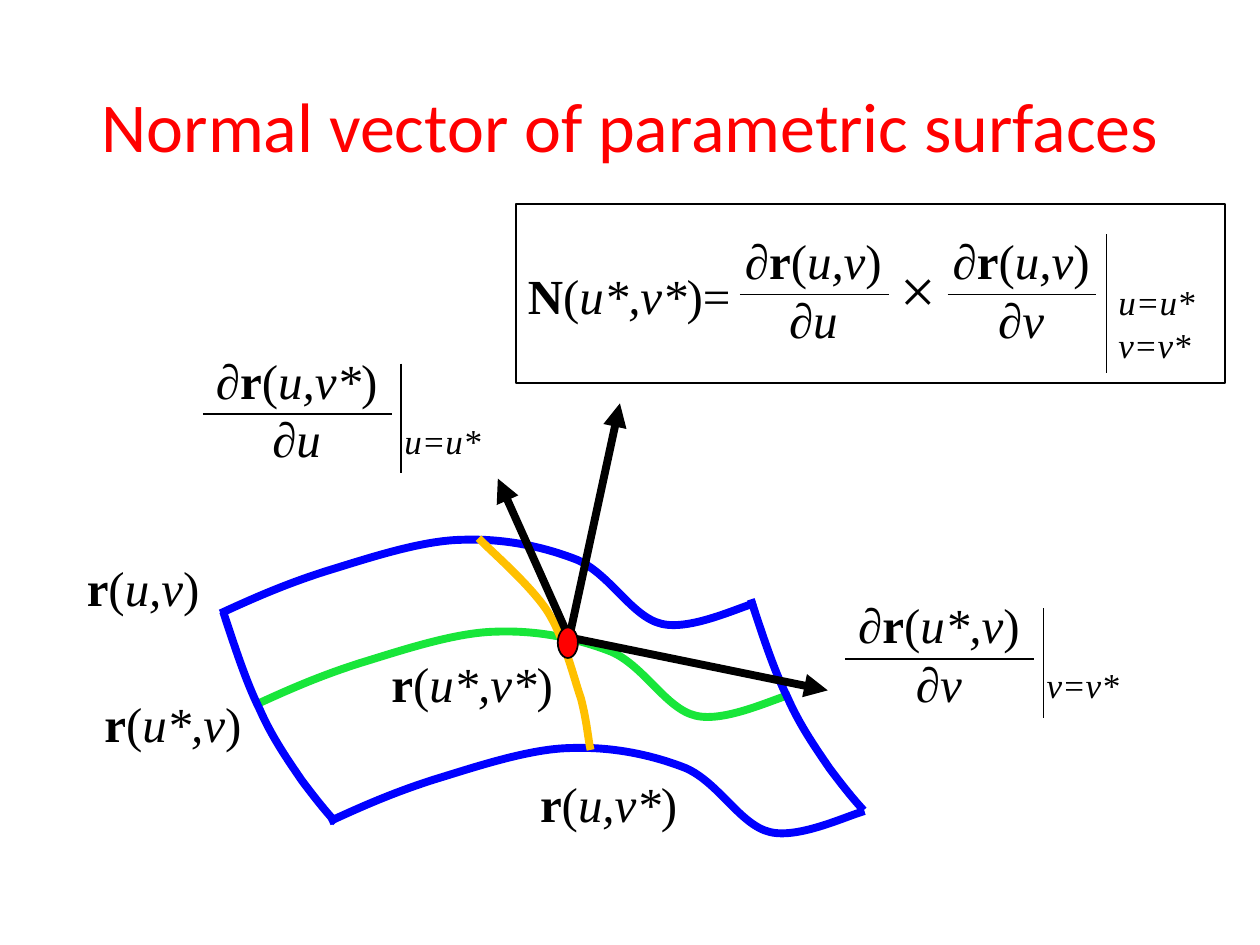
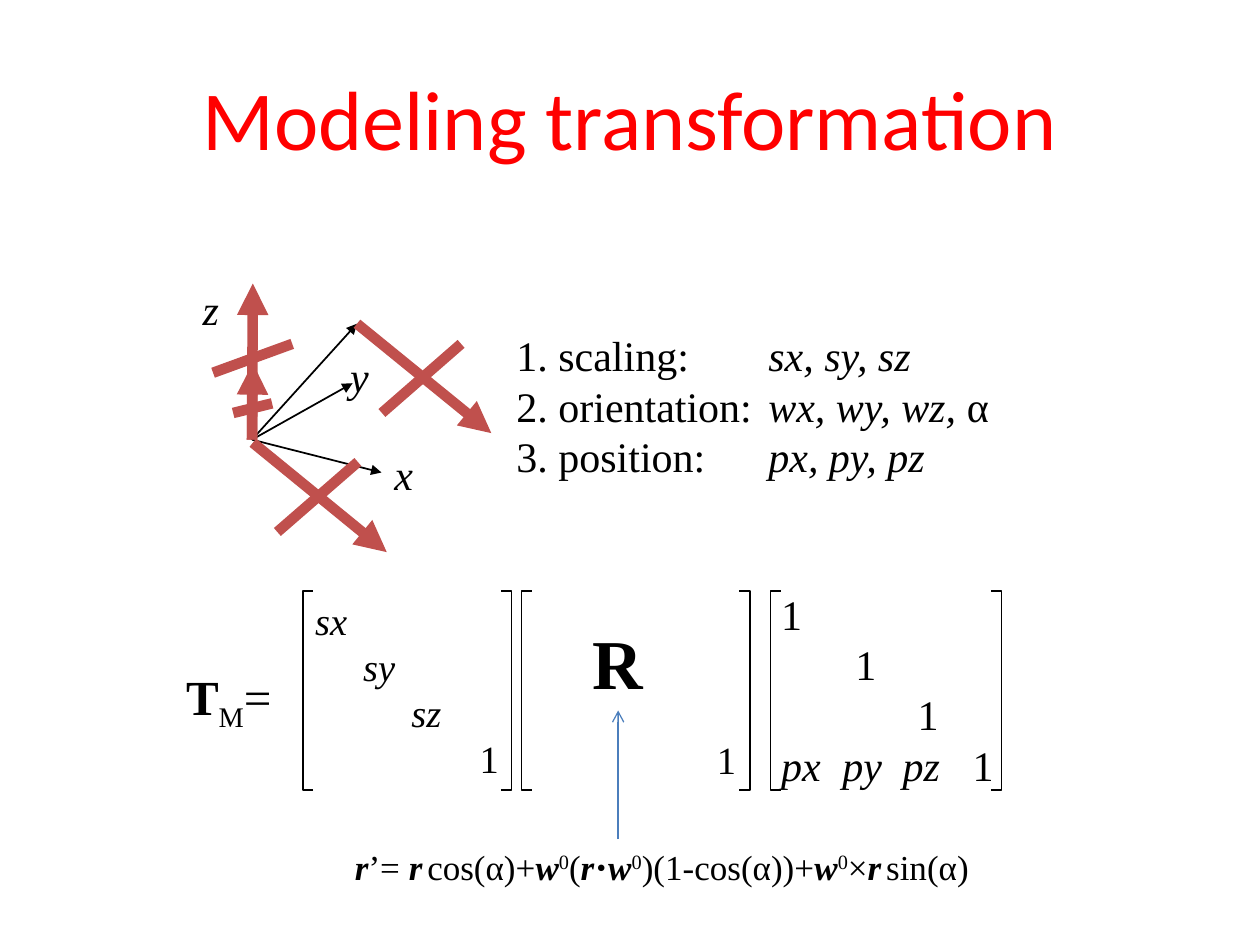
from lxml import etree
from pptx import Presentation
from pptx import util as u
from pptx.dml import color as c
from pptx.enum import shapes, text
from pptx.oxml import ns

Pt = u.Pt
COLORS = {"title": "FF0000", "ink": "000000", "edge": "0000FF", "u_curve": "18E63A",
          "v_curve": "FFC000", "point": "FF0000", "scale": "C0504D", "pointer": "4B7EBC"}
BASELINES = {"^": "30000", "_": "-25000"}
WAVE = [(0, 0), (18.5, -8.5), (36.5, -16.5), (60, -24), (83, -31), (114, -41.5),
        (137.5, -42), (162, -43), (185, -38), (204, -30.5), (223, -22), (235, 2),
        (252, 6), (268.5, 10), (296.5, -3.5), (306, -6)]
SIDE = [(0, 0), (6.5, 19.5), (13, 40), (21, 56), (28, 72), (37.5, 85.5),
        (45, 96.5), (52.5, 106.5), (58.5, 114), (64.5, 120.5)]
CROSSING = [(0, 0), (6.5, 7), (29.5, 26.5), (39.5, 42), (49, 57), (54, 78.5),
            (58.5, 91.5), (62, 105), (62.5, 114.5), (64, 121)]


def rgb(name):
    return c.RGBColor.from_string(COLORS[name])


def sub(parent, tag, **attrs):
    return etree.SubElement(parent, ns.qn(tag), **attrs)


def write(p, runs, size, font="Times New Roman", color="ink", align=None, indent=0, tabs=()):
    if isinstance(runs, str):
        runs = [(runs, "")]
    p.alignment = align
    pPr = p._p.get_or_add_pPr()
    if indent:
        pPr.set("marL", str(Pt(indent)))
    if tabs:
        stops = sub(pPr, "a:tabLst")
        for tab in tabs:
            sub(stops, "a:tab", pos=str(Pt(tab)), algn="l")
    for content, marks in runs:
        r = p.add_run()
        r.text = content
        r.font.name, r.font.size = font, Pt(11 if "s" in marks else size)
        r.font.bold, r.font.italic = "b" in marks, "i" in marks
        r.font.color.rgb = rgb(color)
        for mark in set(marks) & set(BASELINES):
            r._r.get_or_add_rPr().set("baseline", BASELINES[mark])


def call(name, args, tail=")"):
    return [(name, "b"), ("(", ""), (args, "i"), (tail, "")]


class Deck:
    def __init__(self):
        self.prs = Presentation()
        self.prs.slide_width, self.prs.slide_height = Pt(720), Pt(540)

    def slide(self, title, size, x, y, w):
        self.s = self.prs.slides.add_slide(self.prs.slide_layouts[6])
        sp = self.text(x, y, w, 90, [title], size, font="Calibri", color="title",
                       align=text.PP_ALIGN.CENTER, wrap=True, grow=False)
        sp.text_frame.vertical_anchor = text.MSO_ANCHOR.MIDDLE

    def text(self, x, y, w, h, rows, size, wrap=False, grow=True, indents=None, **fmt):
        sp = self.s.shapes.add_textbox(Pt(x), Pt(y), Pt(w), Pt(h))
        tf = sp.text_frame
        tf.word_wrap = wrap
        tf.auto_size = (text.MSO_AUTO_SIZE.SHAPE_TO_FIT_TEXT if grow
                        else text.MSO_AUTO_SIZE.NONE)
        for i, row in enumerate(rows):
            p = tf.add_paragraph() if i else tf.paragraphs[0]
            write(p, row, size, indent=indents[i] if indents else 0, **fmt)
        return sp

    def line(self, start, end, color="ink", width=1, head=None):
        cx = self.s.shapes.add_connector(shapes.MSO_CONNECTOR.STRAIGHT,
                                         *map(Pt, (*start, *end)))
        cx.line.color.rgb, cx.line.width = rgb(color), Pt(width)
        if head:
            sub(cx.line._get_or_add_ln(), "a:tailEnd", type=head)
        sub(cx._element.spPr, "a:effectLst")
        return cx

    def outline(self, sp, color="ink", width=1, fill=None):
        sp.shadow.inherit = False
        if fill:
            sp.fill.solid()
            sp.fill.fore_color.rgb = rgb(fill)
        else:
            sp.fill.background()
        sp.line.color.rgb, sp.line.width = rgb(color), Pt(width)

    def shape(self, kind, x, y, w, h, fill=None):
        self.outline(self.s.shapes.add_shape(kind, Pt(x), Pt(y), Pt(w), Pt(h)), fill=fill)

    def freeform(self, points, color="ink", width=1):
        first, *rest = [(Pt(x), Pt(y)) for x, y in points]
        builder = self.s.shapes.build_freeform(*first)
        builder.add_line_segments(rest, close=False)
        sp = builder.convert_to_shape()
        self.outline(sp, color, width)
        return sp

    def curve(self, controls, x, y, color):
        sp = self.freeform([(x + a, y + b) for a, b in controls], color, 4.5)
        outline = sp._element.find(".//" + ns.qn("a:path"))
        segments = outline.findall(ns.qn("a:lnTo"))
        for i in range(0, len(segments), 3):
            bezier = sub(outline, "a:cubicBezTo")
            for segment in segments[i:i + 3]:
                bezier.append(segment[0])
                outline.remove(segment)

    def partial(self, x, y, w, args, var, bar, condition=None):
        self.text(x, y, w, 74, [call("∂r", args), [("∂", "b"), (var, "i")]], 28,
                  align=text.PP_ALIGN.CENTER)
        left = x + (w - bar) / 2 + 0.5
        self.line((left, y + 40.25), (left + bar, y + 40.25))
        if condition:
            self.line((x + 113.25, y + 11.25), (x + 113.25, y + 74))
            self.text(x + 108, y + 39.5, 66, 36, [[(condition, "i")]], 20)

    def brackets(self, left, right, top=337.75, height=113.75, lip=6):
        for x, tip in ((left, left + lip), (right, right - lip)):
            self.freeform([(tip, top + height), (x, top + height), (x, top), (tip, top)])


def normal_vector(d):
    d.slide("Normal vector of parametric surfaces", 40, 0, 26, 720)
    for x, y, color in ((145.5, 403, "u_curve"), (126, 350.5, "edge"), (188, 469.5, "edge")):
        d.curve(WAVE, x, y, color)
    for x, y in ((429, 342.5), (127.5, 349.5)):
        d.curve(SIDE, x, y, "edge")
    d.curve(CROSSING, 273.5, 307.5, "v_curve")
    for x, y, w, args in ((42.5, 315.25, 79, "u,v"), (52.5, 392.5, 93, "u*,v"),
                          (301.5, 438.25, 93, "u,v*"), (216.5, 370, 107, "u*,v*")):
        d.text(x, y, w, 41, [call("r", args)], 28)
    d.partial(483, 336.25, 107, "u*,v", "v", 108, "v=v*")
    d.partial(116, 196.5, 107, "u,v*", "u", 108, "u=u*")
    d.text(294.5, 148.25, 132, 41, [call("N", "u*,v*", ")=")], 28)
    for x, var in ((418.25, "u"), (537, "v")):
        d.partial(x, 128, 93, "u,v", var, 85)
    d.text(507.5, 139.5, 34.5, 50, ["×"], 36)
    d.line((632.25, 134), (632.25, 213))
    d.text(632, 157, 67, 65, [[("u=u*", "i")], [("v=v*", "i")]], 20)
    d.shape(shapes.MSO_SHAPE.RECTANGLE, 294.75, 116.75, 405.25, 102.25)
    for start, end in (((325, 364), (284.5, 273.5)), ((326, 361), (354.25, 230.5)),
                       ((324, 364), (473, 394.5))):
        d.line(start, end, width=4.5, head="triangle")
    d.shape(shapes.MSO_SHAPE.OVAL, 318.75, 358.5, 11.5, 17.5, fill="point")


def modeling_transformation(d):
    d.slide("Modeling transformation", 48, 36, 21.75, 648)
    origin = (144, 251.25)
    for tip in ((144, 173), (218, 270), (201.5, 219), (204, 185)):
        d.line(origin, tip, head="triangle")
    for start, end in (((204, 185), (280.75, 247.5)), (origin, (144.5, 207.5)),
                       (origin, (144.5, 162)), ((144.5, 253), (221, 315.5))):
        d.line(start, end, "scale", 6, "triangle")
    for start, end in (((133.25, 236), (155.5, 230.5)), ((218.25, 236), (263.5, 196.5)),
                       ((121.75, 213), (167, 196.5)), ((158.5, 304), (204.5, 264))):
        d.line(start, end, "scale", 6)
    for x, y, axis in ((108.75, 158.5, "z"), (193, 196.5, "y"), (218.25, 252.5, "x")):
        d.text(x, y, 24.5, 36, [[(axis, "i")]], 24)
    d.text(288, 185, 289.5, 94.5, [
        [("1. scaling:\t", ""), ("sx, sy, sz", "i")],
        [("2. orientation:\t", ""), ("wx, wy, wz, ", "i"), ("α", "")],
        [("3. position: \t", ""), ("px, py, pz", "i")]], 24, tabs=[144])

    for left, right in ((173, 292.25), (298, 428.5), (440.25, 572.25)):
        d.brackets(left, right)
    d.text(99.25, 377.25, 65.5, 41, [[("T", "b"), ("M", "_"), ("=", "")]], 28)
    d.text(173, 337.5, 127.5, 113,
           [[("sx", "i")], [("sy", "i")], [("sz", "i")], "1"], 22,
           wrap=True, indents=[0, 27.5, 55, 94])
    d.text(402.5, 417, 27, 34, ["1"], 22)
    d.text(439.25, 332.5, 138.25, 122.5,
           ["1", "1", "1", [("px\tpy\tpz\t", "i"), ("1", "")]], 24,
           wrap=True, indents=[0, 42.5, 78, 0], tabs=[35, 69.5, 109.5])
    rotation = d.text(331.75, 350.5, 43, 55.5, [[("R", "b")]], 40)
    d.text(195.75, 479.5, 382, 31.5, [[
        ("r", "bi"), ("’= ", ""), ("r", "bi"), (" ", "bis"), ("cos(α)+", ""),
        ("w", "bi"), ("0", "^"), ("(", ""), ("r⋅w", "bi"), ("0", "^"),
        (")(1-cos(α))+", ""), ("w", "bi"), ("0", "^"), ("×", ""),
        ("r", "bi"), (" ", "bis"), ("sin(α)", "")]], 20, wrap=True)
    pointer = d.line((353.25, 479.5), (353.25, 406), "pointer", 0.75, "arrow")
    pointer.end_connect(rotation, 2)


def main():
    d = Deck()
    normal_vector(d)
    modeling_transformation(d)
    d.prs.save("out.pptx")


if __name__ == "__main__":
    main()
